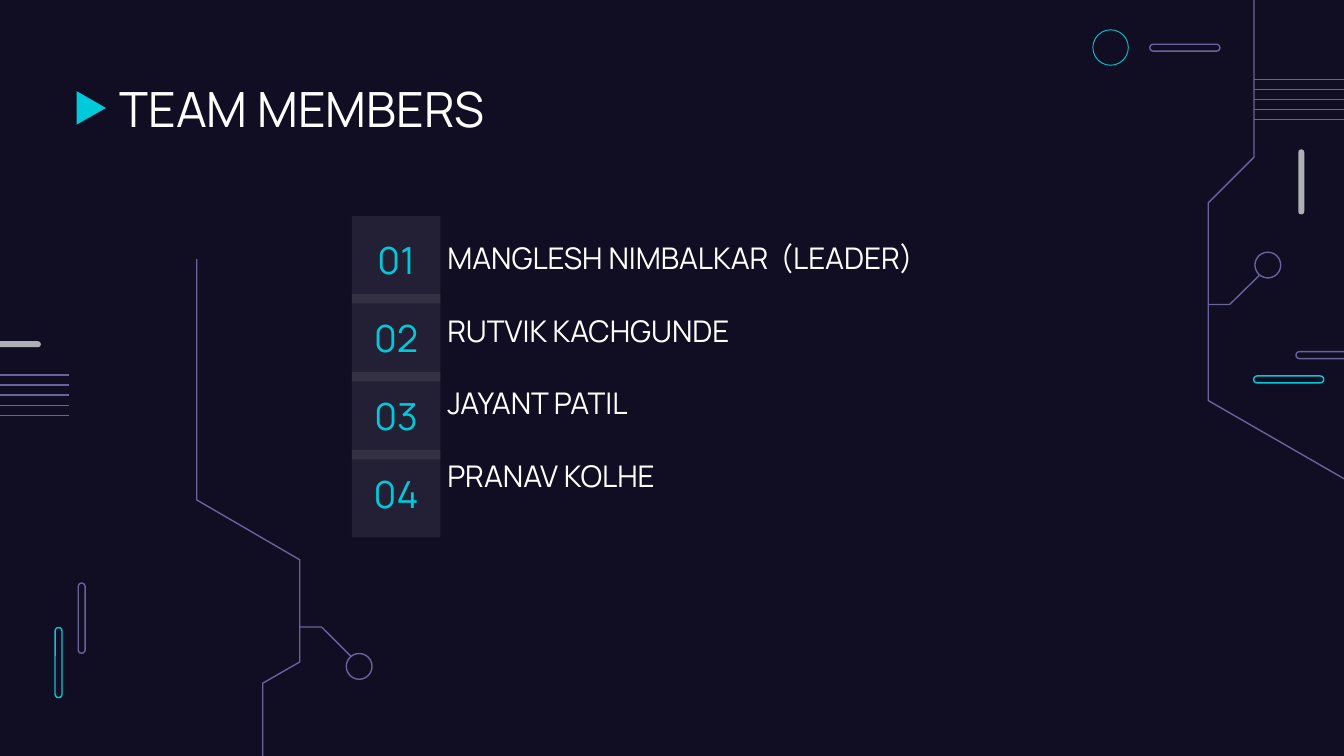
from lxml import etree
from pptx import Presentation
from pptx.dml.color import RGBColor
from pptx.enum.shapes import MSO_CONNECTOR, MSO_SHAPE
from pptx.enum.text import MSO_ANCHOR, MSO_AUTO_SIZE, PP_ALIGN
from pptx.oxml.ns import qn
from pptx.util import Pt

STRAIGHT = MSO_CONNECTOR.STRAIGHT
RECTANGLE, PILL, OVAL = MSO_SHAPE.RECTANGLE, MSO_SHAPE.ROUNDED_RECTANGLE, MSO_SHAPE.OVAL
MERGE = MSO_SHAPE.FLOWCHART_MERGE
LEFT, CENTER = PP_ALIGN.LEFT, PP_ALIGN.CENTER
TOP, MIDDLE = MSO_ANCHOR.TOP, MSO_ANCHOR.MIDDLE
NO_AUTOFIT = MSO_AUTO_SIZE.NONE

NAVY = RGBColor(0x11, 0x0E, 0x24)
CYAN = RGBColor(0x00, 0xCA, 0xDA)
PURPLE = RGBColor(0x69, 0x63, 0x9C)
GREY = RGBColor(0xAF, 0xAF, 0xB6)
WHITE = RGBColor(0xFF, 0xFF, 0xFF)

FONT = "Manrope"
MEMBERS = ["MANGLESH NIMBALKAR  (LEADER)", "RUTVIK KACHGUNDE", "JAYANT PATIL", "PRANAV KOLHE"]
ROW_PITCH = 41.75
STRIPE_PITCH = 5.4


def paint(shape, fill=None, line=None, width=0.75):
    shape.shadow.inherit = False
    if fill is None:
        shape.fill.background()
    else:
        shape.fill.solid()
        shape.fill.fore_color.rgb = fill
    if line is None:
        shape.line.fill.background()
    else:
        shape.line.color.rgb = line
        shape.line.width = Pt(width)


def write(shape, lines, size, color, alignment, anchor, gap=0):
    frame = shape.text_frame
    frame.text = "\n".join(lines)
    margins = dict.fromkeys(["margin_left", "margin_top", "margin_right", "margin_bottom"], Pt(7.2))
    frame_format = {"word_wrap": True, "auto_size": NO_AUTOFIT, "vertical_anchor": anchor, **margins}
    for name, value in frame_format.items():
        setattr(frame, name, value)
    paragraph_format = {"alignment": alignment, "space_before": Pt(0), "space_after": Pt(gap)}
    for paragraph in frame.paragraphs:
        for name, value in paragraph_format.items():
            setattr(paragraph, name, value)
        for name, value in {"name": FONT, "size": Pt(size)}.items():
            setattr(paragraph.font, name, value)
        paragraph.font.color.rgb = color


presentation = Presentation()
presentation.slide_width, presentation.slide_height = Pt(720), Pt(405)
slide = presentation.slides.add_slide(presentation.slide_layouts[1])
slide.background.fill.solid()
slide.background.fill.fore_color.rgb = NAVY
shapes = slide.shapes

pills = [
    (29.5, 336.2, 3.7, 37.6, None, CYAN),
    (41.9, 312.4, 3.7, 37.6, None, PURPLE),
    (671.6, 201.4, 37.6, 3.7, None, CYAN),
    (694.3, 188.4, 37.6, 3.7, None, PURPLE),
    (616, 23.7, 37.6, 3.7, None, PURPLE),
    (695.5, 80, 3.2, 34.9, GREY, None),
    (-13, 182.8, 34.9, 3.2, GREY, None),
]
for left, top, width, height, fill, line in pills:
    pill = shapes.add_shape(PILL, Pt(left), Pt(top), Pt(width), Pt(height))
    pill.adjustments[0] = 0.5
    paint(pill, fill, line)

rings = [(585.5, 16, 19, CYAN, 0.47), (672.3, 135.1, 13.8, PURPLE, 0.75), (185.5, 350.1, 13.8, PURPLE, 0.75)]
for left, top, diameter, color, line_width in rings:
    ring = shapes.add_shape(OVAL, Pt(left), Pt(top), Pt(diameter), Pt(diameter))
    paint(ring, line=color, width=line_width)

circuits = [
    [(728.6, 261.4), (647.3, 214.6), (647.3, 108.7), (671.8, 84.2), (671.8, -4.3)],
    [(674.6, 147.6), (658.8, 163.1), (647.3, 163.1)],
    [(105.4, 138.8), (105.4, 267.8), (160.6, 299.9), (160.6, 354.6), (140.8, 366), (140.8, 411)],
    [(188, 351.6), (172.2, 335.9), (160.6, 335.9)],
]
for points in circuits:
    start, *corners = [(Pt(x), Pt(y)) for x, y in points]
    builder = shapes.build_freeform(*start)
    builder.add_line_segments(corners, close=False)
    paint(builder.convert_to_shape(), line=PURPLE)

for start, end, first in [(671.8, 720, 42.5), (37.2, 0, 200.9)]:
    for index in range(5):
        y = Pt(first + index * STRIPE_PITCH)
        stripe = shapes.add_connector(STRAIGHT, Pt(start), y, Pt(end), y)
        stripe.line.color.rgb = PURPLE
        stripe.line.width = Pt(0.75)
        etree.SubElement(stripe._element.spPr, qn("a:effectLst"))

title_marker = shapes.add_shape(MERGE, Pt(39.9), Pt(49.9), Pt(18), Pt(15.8))
title_marker.rotation = 270
paint(title_marker, CYAN)

title, member_list = slide.placeholders
for placeholder, box in [(title, (56.9, 35.3, 607, 45.4)), (member_list, (232.4, 121.2, 350.6, 165.6))]:
    placeholder.left, placeholder.top, placeholder.width, placeholder.height = map(Pt, box)
write(title, ["TEAM MEMBERS"], 26, WHITE, LEFT, MIDDLE)
write(member_list, MEMBERS, 16, WHITE, LEFT, TOP, gap=19.7)
for paragraph in member_list.text_frame.paragraphs:
    properties = paragraph._p.get_or_add_pPr()
    properties.set("marL", "0")
    properties.set("indent", "0")
    etree.SubElement(properties, qn("a:buNone"))
    properties.append(properties.find(qn("a:defRPr")))

for index in range(len(MEMBERS)):
    tile = shapes.add_shape(RECTANGLE, Pt(188.5), Pt(115.8 + index * ROW_PITCH), Pt(47.5), Pt(46.8))
    paint(tile, WHITE)
    color_element = tile._element.spPr.find(qn("a:solidFill"))[0]
    etree.SubElement(color_element, qn("a:alpha"), val="8000")
    write(tile, [f"{index + 1:02}"], 20, CYAN, CENTER, MIDDLE)

presentation.save("out.pptx")
